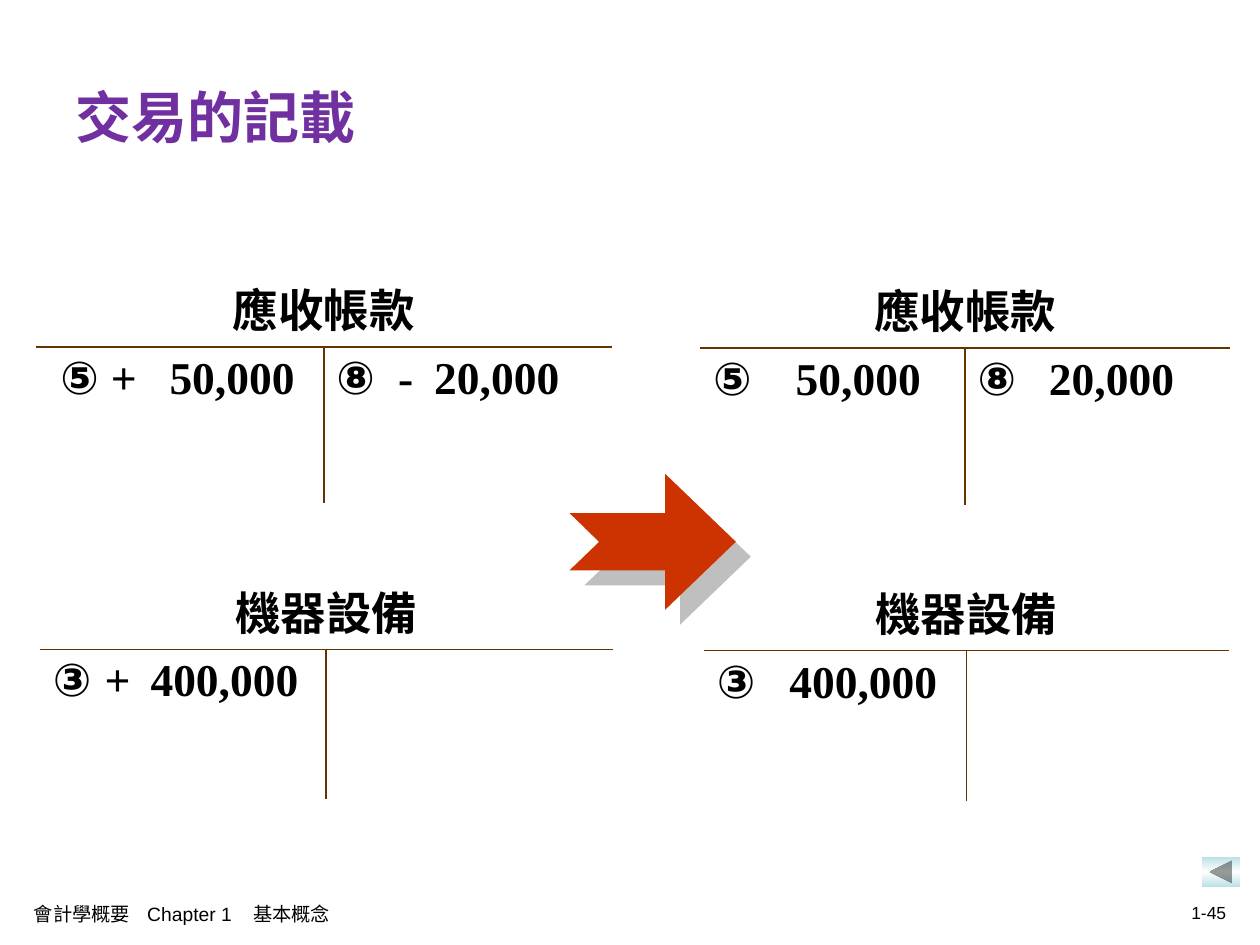
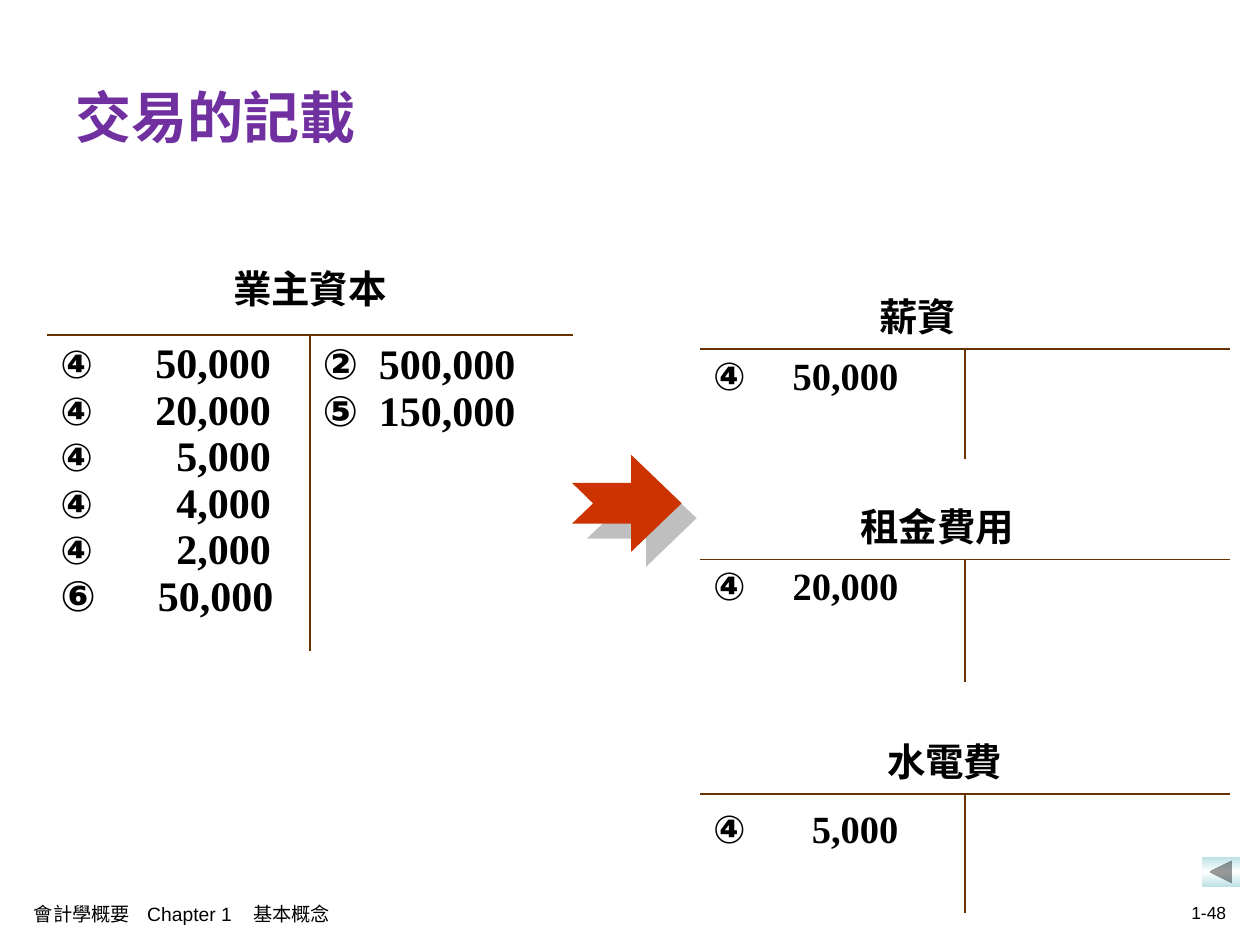
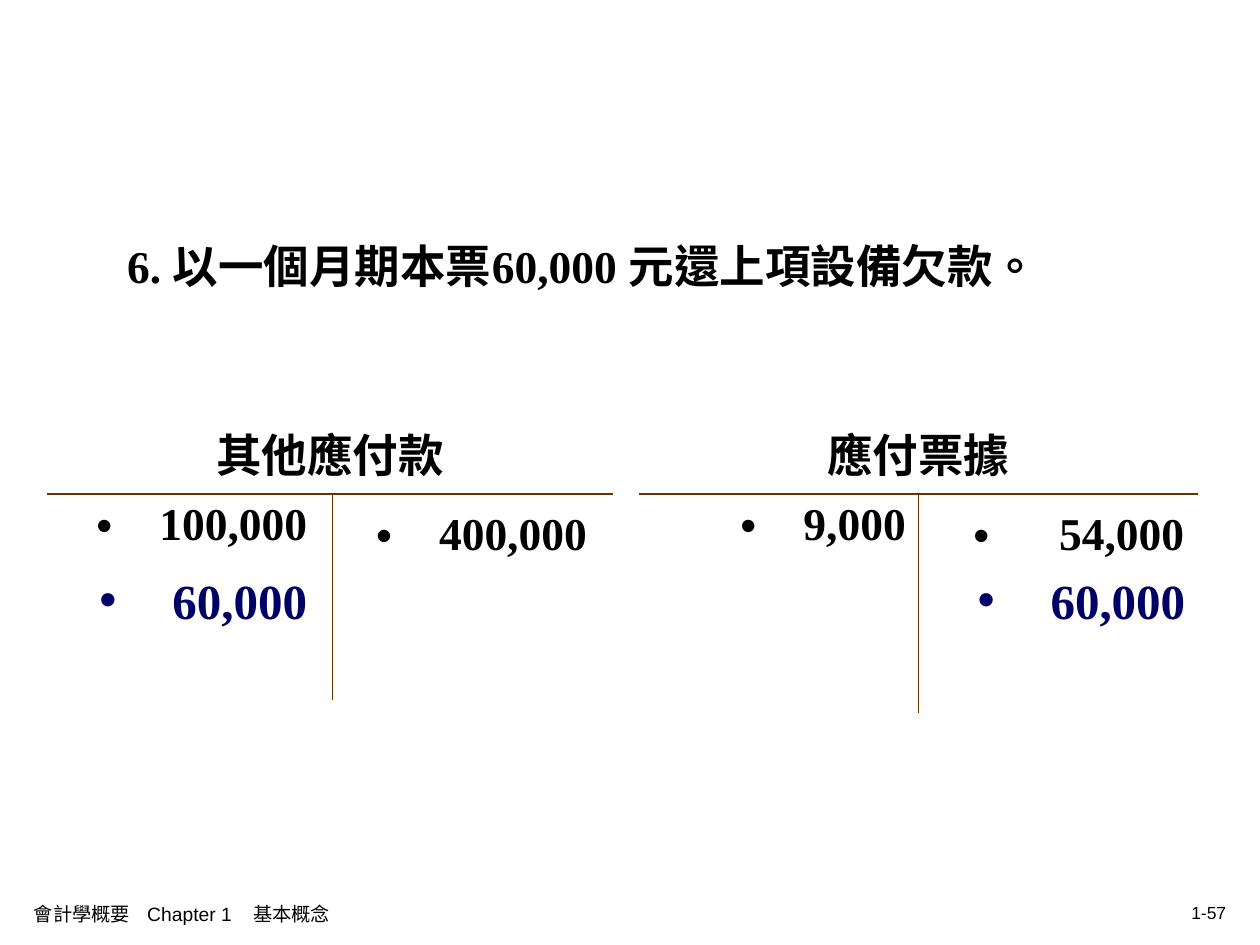
from dataclasses import dataclass
from typing import Optional

from lxml import etree
from pptx import Presentation
from pptx.dml.color import RGBColor
from pptx.enum.lang import MSO_LANGUAGE_ID as Language
from pptx.enum.shapes import MSO_SHAPE as Preset
from pptx.enum.text import MSO_ANCHOR as Anchor, MSO_AUTO_SIZE as AutoSize, PP_ALIGN as Align
from pptx.oxml import parse_xml
from pptx.oxml.ns import nsdecls, qn
from pptx.util import Inches, Pt

# Shared look
COLORS = {
    "text": "000000",
    "title": "7030A0",
    "rule": "663300",
    "arrow": "CC3300",
    "shadow": "808080",
    "entry": "000066",
    "button": "BBE0E3",
    "highlight": "FFFFFF",
}
SERIF = "Times New Roman"
SANS = "Arial"
RULE_WIDTH = Pt(1.08)
TITLE_ONLY, TITLE_AND_CONTENT = 5, 1


@dataclass(frozen=True)
class Entry:
    """One line of an account; stops are inches from the start of the text."""
    amount: str
    mark: str = ""
    right: float = 0
    sign: str = ""
    sign_left: float = 0
    mark_size: Optional[float] = None
    size: Optional[float] = None
    hanging: float = 0.5
    line_spacing: Optional[float] = None


@dataclass(frozen=True)
class Account:
    """A T account: a name over a debit and a credit column."""
    name: str
    left: float
    top: float
    widths: tuple[float, float]
    heights: tuple[float, float]
    size: float
    debits: tuple[Entry, ...] = ()
    credits: tuple[Entry, ...] = ()
    margin: float = 0.1
    debit_margin: Optional[float] = None
    name_left: Optional[float] = None
    name_spacing: Optional[float] = None


@dataclass(frozen=True)
class Arrow:
    left: float
    top: float
    width: float
    height: float


# Text helpers
def format_run(run, size: float, font: str = SERIF, color: str = "text", bold: bool = True) -> None:
    run.font.size = Pt(size)
    run.font.name = font
    run.font.bold = bold
    run.font.color.rgb = RGBColor.from_string(COLORS[color])
    run.font.language_id = Language.TRADITIONAL_CHINESE


def add_tabs(paragraph, stops: list[tuple[float, str]]) -> None:
    tab_list = etree.SubElement(paragraph._p.get_or_add_pPr(), qn("a:tabLst"))
    for position, alignment in stops:
        etree.SubElement(tab_list, qn("a:tab"), pos=str(Inches(position)), algn=alignment)


def set_hanging(paragraph, hanging: float) -> None:
    properties = paragraph._p.get_or_add_pPr()
    properties.set("marL", str(Inches(hanging)))
    properties.set("indent", str(-Inches(hanging)))


def add_bullet(paragraph, hanging: float, color: str) -> None:
    set_hanging(paragraph, hanging)
    properties = paragraph._p.get_or_add_pPr()
    bullet_color = etree.SubElement(properties, qn("a:buClr"))
    etree.SubElement(bullet_color, qn("a:srgbClr"), val=COLORS[color])
    etree.SubElement(properties, qn("a:buFont"), typeface=SANS)
    etree.SubElement(properties, qn("a:buChar"), char="•")


def add_text(slide, box: tuple[float, float, float, float], text: str):
    shape = slide.shapes.add_textbox(*map(Inches, box))
    shape.text_frame.word_wrap = True
    paragraph = shape.text_frame.paragraphs[0]
    paragraph.text = text
    return shape, paragraph


# Account tables
def set_borders(cell, edges: str) -> None:
    properties = cell._tc.get_or_add_tcPr()
    for index, edge in enumerate(edges):
        properties.insert(index, parse_xml(
            f'<a:ln{edge} {nsdecls("a")} w="{RULE_WIDTH}"><a:solidFill>'
            f'<a:srgbClr val="{COLORS["rule"]}"/></a:solidFill></a:ln{edge}>'))


def write_entry(paragraph, entry: Entry, size: float) -> None:
    if entry.mark:
        stops = [(entry.right, "r")]
        text = "\t" + entry.amount
        if entry.sign:
            stops.insert(0, (entry.sign_left, "l"))
            text = "\t" + entry.sign + text
        add_tabs(paragraph, stops)
        mark = paragraph.add_run()
        mark.text = entry.mark
        format_run(mark, entry.mark_size or size, SANS)
    else:
        text = entry.amount
        add_bullet(paragraph, entry.hanging, "text")
        paragraph.alignment = Align.RIGHT
    if entry.line_spacing:
        paragraph.line_spacing = entry.line_spacing
    run = paragraph.add_run()
    run.text = text
    format_run(run, entry.size or size)


def add_account(slide, account: Account) -> None:
    frame = slide.shapes.add_table(
        2, 2, Inches(account.left), Inches(account.top),
        Inches(sum(account.widths)), Inches(sum(account.heights)))
    table = frame.table
    table.first_row = table.horz_banding = False
    for column, width in zip(table.columns, account.widths):
        column.width = Inches(width)
    for row, height in zip(table.rows, account.heights):
        row.height = Inches(height)
    for row in range(2):
        for column, inner in enumerate("RL"):
            cell = table.cell(row, column)
            cell.fill.background()
            cell.margin_left = cell.margin_right = Inches(account.margin)
            set_borders(cell, inner + "T" if row else "B")

    # Account name across both columns
    name = table.cell(0, 0)
    name.merge(table.cell(0, 1))
    name.vertical_anchor = Anchor.MIDDLE
    paragraph = name.text_frame.paragraphs[0]
    paragraph.text = account.name
    if account.name_left is None:
        paragraph.alignment = Align.CENTER
    else:
        name.margin_left = Inches(account.name_left)
    if account.name_spacing:
        paragraph.line_spacing = account.name_spacing
    format_run(paragraph.runs[0], account.size)

    # Debit and credit entries
    if account.debit_margin is not None:
        table.cell(1, 0).margin_left = Inches(account.debit_margin)
    for column, entries in enumerate((account.debits, account.credits)):
        text_frame = table.cell(1, column).text_frame
        for index, entry in enumerate(entries):
            paragraph = text_frame.add_paragraph() if index else text_frame.paragraphs[0]
            write_entry(paragraph, entry, account.size)


# Shapes
def add_arrow(slide, arrow: Arrow) -> None:
    shape = slide.shapes.add_shape(
        Preset.NOTCHED_RIGHT_ARROW, Inches(arrow.left), Inches(arrow.top),
        Inches(arrow.width), Inches(arrow.height))
    shape.adjustments[0] = 0.42
    shape.adjustments[1] = 0.52
    shape.fill.solid()
    shape.fill.fore_color.rgb = RGBColor.from_string(COLORS["arrow"])
    shape.line.fill.background()
    shape._element.spPr.append(parse_xml(
        f'<a:effectLst {nsdecls("a")}><a:outerShdw dist="{Pt(12.1)}" dir="2700000">'
        f'<a:srgbClr val="{COLORS["shadow"]}"><a:alpha val="50000"/></a:srgbClr>'
        '</a:outerShdw></a:effectLst>'))


def add_back_button(slide) -> None:
    shape = slide.shapes.add_shape(
        Preset.ACTION_BUTTON_BACK_OR_PREVIOUS,
        Inches(9.54), Inches(6.8), Inches(0.3), Inches(0.24))
    shape.shadow.inherit = False
    shape.line.fill.background()
    stops = "".join(
        f'<a:gs pos="{position}"><a:srgbClr val="{COLORS[color]}"/></a:gs>'
        for position, color in ((0, "button"), (50000, "highlight"), (100000, "button")))
    gradient = parse_xml(
        f'<a:gradFill {nsdecls("a")}><a:gsLst>{stops}</a:gsLst>'
        '<a:lin ang="5400000" scaled="1"/></a:gradFill>')
    shape._element.spPr.find(qn("a:prstGeom")).addnext(gradient)


# Slide parts
def add_title(slide) -> None:
    title = slide.shapes.title
    title.left, title.top, title.width, title.height = map(Inches, (0.5, 0.3, 9, 1.25))
    title.text_frame.text = "交易的記載"
    title.text_frame.vertical_anchor = Anchor.MIDDLE
    paragraph = title.text_frame.paragraphs[0]
    paragraph.alignment = Align.LEFT
    format_run(paragraph.runs[0], 32, color="title")


def add_footer(slide, number: str) -> None:
    course, paragraph = add_text(
        slide, (0.17, 7.09, 4.47, 0.33), "會計學概要\tChapter 1\t基本概念")
    add_tabs(paragraph, [(0.9, "l"), (1.74, "l")])
    format_run(paragraph.runs[0], 11, SANS, bold=False)
    page, paragraph = add_text(slide, (7.17, 7.08, 2.66, 0.33), number)
    paragraph.alignment = Align.RIGHT
    format_run(paragraph.runs[0], 10, SANS, bold=False)
    for shape in (course, page):
        shape.text_frame.vertical_anchor = Anchor.MIDDLE


def add_transaction(slide, text: str) -> None:
    title = slide.shapes.title
    title.element.getparent().remove(title.element)
    body = slide.placeholders[1]
    body.left, body.top, body.width, body.height = map(Inches, (0.91, 1.75, 9.09, 0.93))
    body.text_frame.text = text
    body.text_frame.auto_size = AutoSize.NONE
    paragraph = body.text_frame.paragraphs[0]
    set_hanging(paragraph, 0.38)
    etree.SubElement(paragraph._p.get_or_add_pPr(), qn("a:buNone"))
    paragraph.line_spacing = 1.2
    paragraph.space_before = Pt(0)
    format_run(paragraph.runs[0], 26)


def add_new_entry(slide, left: float, amount: str) -> None:
    _, paragraph = add_text(slide, (left, 4.48, 1.91, 0.57), amount)
    add_bullet(paragraph, 0.58, "entry")
    format_run(paragraph.runs[0], 28, color="entry")


# Content
RECEIVABLE, EQUIPMENT = "應收帳款", "機器設備"
POSTINGS = (
    Account(RECEIVABLE, 0.29, 2.13, (2.28, 2.28), (0.53, 1.23), 26,
            (Entry("50,000", "⑤", 1.86, "+", 0.4),),
            (Entry("20,000", "⑧", 1.77, "-", 0.49),), debit_margin=0.19),
    Account(EQUIPMENT, 0.32, 4.53, (2.27, 2.27), (0.53, 1.18), 26,
            (Entry("400,000", "③", 1.95, "+", 0.41),)),
    Account(RECEIVABLE, 5.56, 2.14, (2.1, 2.1), (0.53, 1.24), 26,
            (Entry("50,000", "⑤", 1.65),), (Entry("20,000", "⑧", 1.56),)),
    Account(EQUIPMENT, 5.59, 4.54, (2.08, 2.08), (0.53, 1.19), 26,
            (Entry("400,000", "③", 1.75),)),
)


def expense(name: str, top: float, height: float, name_left: float, entry: Entry) -> Account:
    return Account(name, 5.56, top, (2.1, 2.1), (0.54, height), 22, (entry,),
                   name_left=name_left, name_spacing=1.2)


CAPITAL_SPLIT = (
    expense("薪資", 2.14, 0.87, 1.42, Entry("50,000", "④", 1.47)),
    Account("業主資本", 0.38, 1.9, (2.08, 2.08), (0.76, 2.5), 22,
            (*(Entry(amount, "④", 1.67, size=24)
               for amount in ("50,000", "20,000", "5,000", "4,000", "2,000")),
             Entry("50,000", "⑥", 1.69, mark_size=24, size=24)),
            tuple(Entry(amount, mark, 1.53, mark_size=24, size=24)
                  for mark, amount in (("②", "500,000"), ("⑤", "150,000")))),
    expense("租金費用", 3.81, 0.97, 1.27, Entry("20,000", "④", 1.47)),
    expense("水電費", 5.67, 0.94, 1.48, Entry("5,000", "④", 1.47, line_spacing=1.2)),
)
PAYABLES = (
    Account("其他應付款", 0.38, 3.16, (2.26, 2.22), (0.76, 1.63), 26,
            (Entry("100,000"),), (Entry("400,000", line_spacing=1.2),),
            margin=0.2, name_spacing=1.2),
    Account("應付票據", 5.08, 3.26, (2.21, 2.21), (0.66, 1.73), 26,
            (Entry("9,000"),), (Entry("54,000", hanging=0.68, line_spacing=1.2),)),
)


def main() -> None:
    presentation = Presentation()
    presentation.slide_width, presentation.slide_height = Inches(10), Inches(7.5)
    layouts = presentation.slide_layouts

    # Slides that carry entries from one set of accounts to another
    for number, accounts, arrow in (
        ("1-45", POSTINGS, Arrow(4.52, 3.76, 1.32, 1.08)),
        ("1-48", CAPITAL_SPLIT, Arrow(4.54, 3.61, 0.87, 0.77)),
    ):
        slide = presentation.slides.add_slide(layouts[TITLE_ONLY])
        add_title(slide)
        for account in accounts:
            add_account(slide, account)
        add_arrow(slide, arrow)
        add_back_button(slide)
        add_footer(slide, number)

    # Slide with one transaction and its two accounts
    slide = presentation.slides.add_slide(layouts[TITLE_AND_CONTENT])
    add_transaction(slide, "6. 以一個月期本票60,000 元還上項設備欠款。")
    for account in PAYABLES:
        add_account(slide, account)
    for left in (0.69, 7.66):
        add_new_entry(slide, left, "60,000")
    add_footer(slide, "1-57")

    presentation.save("out.pptx")


if __name__ == "__main__":
    main()
